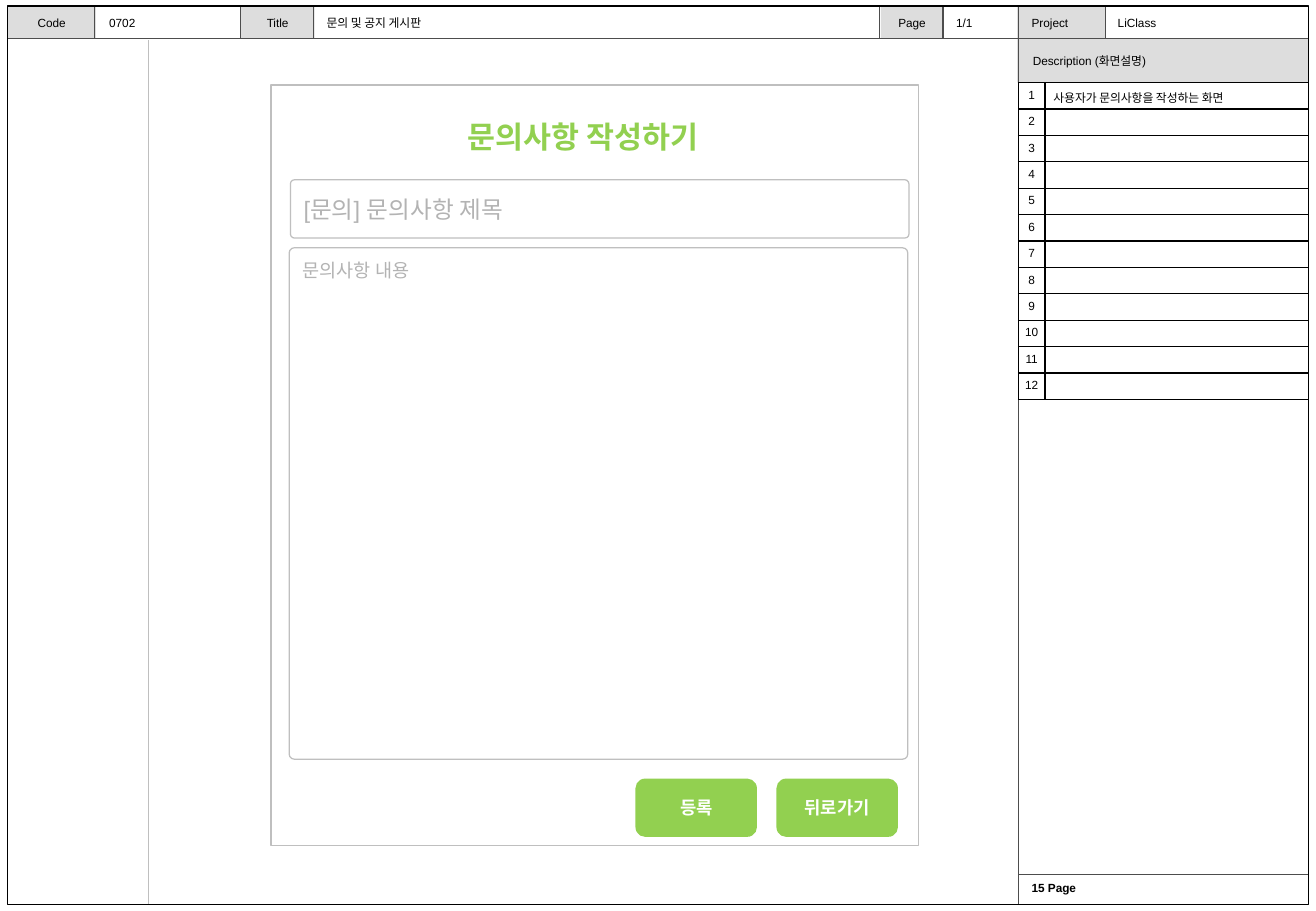
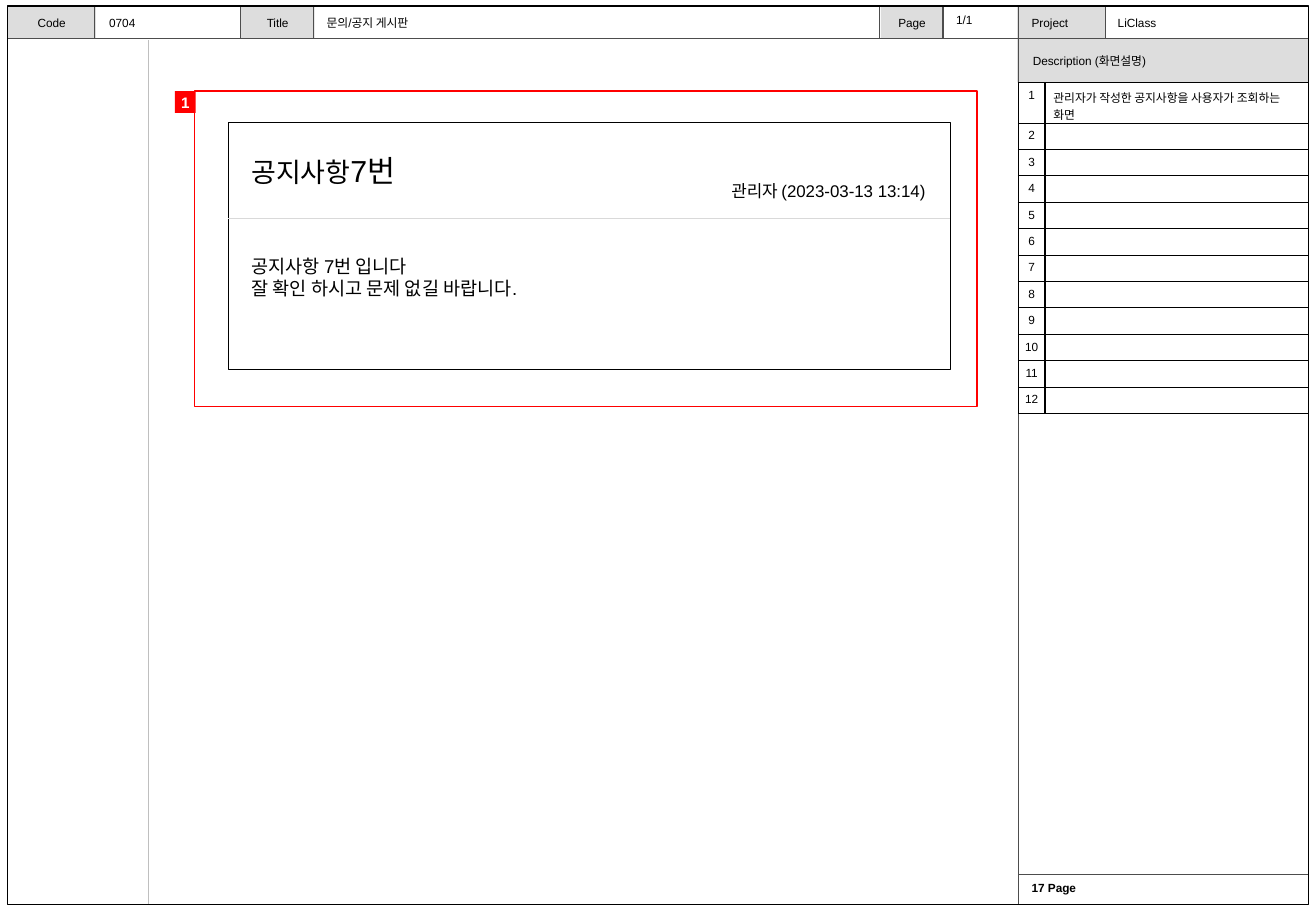
import dataclasses

import pptx
import pptx.dml.color
import pptx.enum.shapes
import pptx.enum.text
import pptx.oxml
import pptx.oxml.ns
import pptx.util

SHAPES = pptx.enum.shapes.MSO_SHAPE
ANCHOR = pptx.enum.text.MSO_ANCHOR
ALIGN = pptx.enum.text.PP_ALIGN
EMU_PER_PX = 9144


@dataclasses.dataclass(frozen=True)
class Theme:
    font: str = "Arial"
    black: str = "000000"
    white: str = "FFFFFF"
    band: str = "DDDDDD"
    rule: str = "4D4D4D"
    outline: str = "BFBFBF"
    divider: str = "D9D9D9"
    hint: str = "B3B3B3"
    green: str = "92D050"
    red: str = "FF0000"
    line_width: float = 0.75
    label: float = 7
    badge: float = 9
    meta: float = 10
    button: float = 10.5
    body: float = 11
    field: float = 14
    subtitle: float = 16
    title: float = 18


THEME = Theme()
DESCRIPTION_ROWS = 12
HEADER_LABELS = [("Code", 6, 73), ("Title", 198, 61), ("Page", 725, 51)]
HEADER_DIVIDERS = [78, 198, 258, 724, 776, 910]


def px(length):
    return pptx.util.Emu(length * EMU_PER_PX)


def color(value):
    return pptx.dml.color.RGBColor.from_string(value)


def apply(target, values):
    for name, value in values.items():
        setattr(target, name, value)


def write_runs(paragraph, runs, ink, bold=False):
    for text, size in runs:
        run = paragraph.add_run()
        run.text = text
        apply(run.font, {"name": THEME.font, "size": pptx.util.Pt(size), "bold": bold})
        run.font.color.rgb = color(ink)


def write_text(shape, lines, ink=THEME.black, bold=False, align=ALIGN.LEFT,
               anchor=ANCHOR.TOP, inset=(10, 5)):
    side, edge = inset
    frame = shape.text_frame
    apply(frame, {
        "word_wrap": True, "vertical_anchor": anchor,
        "margin_left": px(side), "margin_right": px(side),
        "margin_top": px(edge), "margin_bottom": px(edge),
    })
    for index, runs in enumerate(lines):
        paragraph = frame.add_paragraph() if index else frame.paragraphs[0]
        paragraph.alignment = align
        write_runs(paragraph, runs, ink, bold)


def add_text(slide, box, lines, **style):
    write_text(slide.shapes.add_textbox(*map(px, box)), lines, **style)


def add_box(slide, box, fill=None, line=None, kind=SHAPES.RECTANGLE, corner=None):
    shape = slide.shapes.add_shape(kind, *map(px, box))
    shape.shadow.inherit = False
    if fill:
        shape.fill.solid()
        shape.fill.fore_color.rgb = color(fill)
    else:
        shape.fill.background()
    if line:
        shape.line.color.rgb = color(line)
        shape.line.width = pptx.util.Pt(THEME.line_width)
    else:
        shape.line.fill.background()
    if corner is not None:
        shape.adjustments[0] = corner
    return shape


def add_line(slide, left, top, right, bottom, ink=THEME.rule):
    line = slide.shapes.add_connector(
        pptx.enum.shapes.MSO_CONNECTOR.STRAIGHT, *map(px, (left, top, right, bottom)))
    line.line.color.rgb = color(ink)
    line.line.width = pptx.util.Pt(THEME.line_width)
    line._element.spPr.append(pptx.oxml.parse_xml(
        f"<a:effectLst {pptx.oxml.ns.nsdecls('a')}/>"))


def add_header(slide, code, title, page, page_top):
    style = {"anchor": ANCHOR.MIDDLE}
    for label, left, width in HEADER_LABELS:
        write_text(add_box(slide, (left, 5, width, 27), THEME.band),
                   [[(label, THEME.label)]], align=ALIGN.CENTER, **style)
    write_text(add_box(slide, (837, 5, 73, 27), THEME.band),
               [[("Project", THEME.label)]], inset=(12, 5), **style)
    for text, left, top, width in [
        (code, 80, 8, 115), (title, 259, 8, 462),
        (page, 777, page_top, 60), ("LiClass", 910, 8, 162),
    ]:
        add_text(slide, (left, top, width, 22), [[(text, THEME.label)]], **style)


def add_frame(slide, code, title, page, footer, page_top=8):
    write_text(add_box(slide, (837, 32, 240, 36), THEME.band),
               [[("Description (화면설명)", THEME.label)]],
               anchor=ANCHOR.MIDDLE, inset=(13, 5))
    add_header(slide, code, title, page, page_top)
    add_text(slide, (841, 721, 232, 20), [[(footer, THEME.label)]], bold=True, inset=(8, 4))
    for left in HEADER_DIVIDERS:
        add_line(slide, left, 6, left, 32)
    add_line(slide, 7, 32, 1077, 32)
    for top in (68, 720):
        add_line(slide, 839, top, 1077, top)
    add_line(slide, 838, 5, 838, 745)
    add_line(slide, 122, 33, 122, 745, THEME.outline)
    add_box(slide, (6, 5, 1071, 740), line=THEME.black)


def set_borders(cell):
    properties = cell._tc.get_or_add_tcPr()
    width = pptx.util.Pt(THEME.line_width)
    for position, side in enumerate(("lnL", "lnR", "lnT", "lnB")):
        properties.insert(position, pptx.oxml.parse_xml(
            f'<a:{side} {pptx.oxml.ns.nsdecls("a")} w="{width}"><a:solidFill>'
            f'<a:srgbClr val="{THEME.black}"/></a:solidFill></a:{side}>'))


def fill_cell(cell, text, align, side):
    cell.fill.background()
    apply(cell, {
        "margin_left": px(side), "margin_right": px(side),
        "margin_top": px(5), "margin_bottom": px(5),
    })
    paragraph = cell.text_frame.paragraphs[0]
    paragraph.alignment = align
    if text:
        write_runs(paragraph, [(text, THEME.label)], THEME.black)
    else:
        paragraph._p.get_or_add_endParaRPr().set("sz", str(THEME.label * 100))
    set_borders(cell)


def add_descriptions(slide, descriptions):
    table = slide.shapes.add_table(
        DESCRIPTION_ROWS, 2, *map(px, (838, 68, 239, 261))).table
    apply(table, {"first_row": False, "horz_banding": False})
    for column, width in zip(table.columns, (22, 217)):
        column.width = px(width)
    for index in range(DESCRIPTION_ROWS):
        text = descriptions[index] if index < len(descriptions) else ""
        fill_cell(table.cell(index, 0), str(index + 1), ALIGN.CENTER, 4)
        fill_cell(table.cell(index, 1), text, ALIGN.LEFT, 7)


def add_field(slide, box, text, size, corner, anchor):
    shape = add_box(slide, box, None, THEME.outline, SHAPES.ROUNDED_RECTANGLE, corner)
    write_text(shape, [[(text, size)]], ink=THEME.hint, anchor=anchor, inset=(10, 8))


def add_button(slide, left, text):
    shape = add_box(slide, (left, 641, 100, 48), THEME.green,
                    kind=SHAPES.ROUNDED_RECTANGLE)
    write_text(shape, [[(text, THEME.button)]], ink=THEME.white, bold=True,
               align=ALIGN.CENTER, anchor=ANCHOR.MIDDLE)


def build_inquiry_form(slide):
    add_frame(slide, "0702", "문의 및 공지 게시판", "1/1", "15 Page")
    add_box(slide, (223, 70, 533, 626), line=THEME.outline)
    add_text(slide, (375, 92, 229, 40), [[("문의사항 작성하기", THEME.title)]],
             ink=THEME.green, bold=True)
    add_field(slide, (239, 148, 509, 48), "[문의] 문의사항 제목", THEME.field,
              0.07, ANCHOR.MIDDLE)
    add_field(slide, (238, 204, 509, 421), "문의사항 내용", THEME.body,
              0.01, ANCHOR.TOP)
    for index, text in enumerate(("등록", "뒤로가기")):
        add_button(slide, 523 + index * 116, text)
    add_descriptions(slide, ["사용자가 문의사항을 작성하는 화면"])


def build_notice(slide):
    add_frame(slide, "0704", "문의/공지 게시판", "1/1", "17 Page", page_top=5)
    add_box(slide, (160, 75, 644, 260), THEME.white, THEME.red)
    add_box(slide, (188, 101, 594, 203), THEME.white, THEME.black)
    add_line(slide, 188, 180, 782, 180, THEME.divider)
    add_text(slide, (197, 120, 268, 40),
             [[("공지사항", THEME.subtitle), ("7번", THEME.title)]])
    add_text(slide, (592, 144, 190, 27), [[("관리자 (2023-03-13 13:14)", THEME.meta)]])
    add_text(slide, (197, 205, 473, 47), [
        [("공지사항 7번 입니다", THEME.body)],
        [("잘 확인 하시고 문제 없길 바랍니다.", THEME.body)],
    ])
    add_descriptions(slide, ["관리자가 작성한 공지사항을 사용자가 조회하는 화면"])
    write_text(add_box(slide, (144, 75, 17, 18), THEME.red), [[("1", THEME.badge)]],
               ink=THEME.white, bold=True, align=ALIGN.CENTER,
               anchor=ANCHOR.MIDDLE, inset=(0, 0))


def main():
    presentation = pptx.Presentation()
    apply(presentation, {"slide_width": px(1083), "slide_height": px(750)})
    for build in (build_inquiry_form, build_notice):
        build(presentation.slides.add_slide(presentation.slide_layouts[6]))
    presentation.save("out.pptx")


if __name__ == "__main__":
    main()
